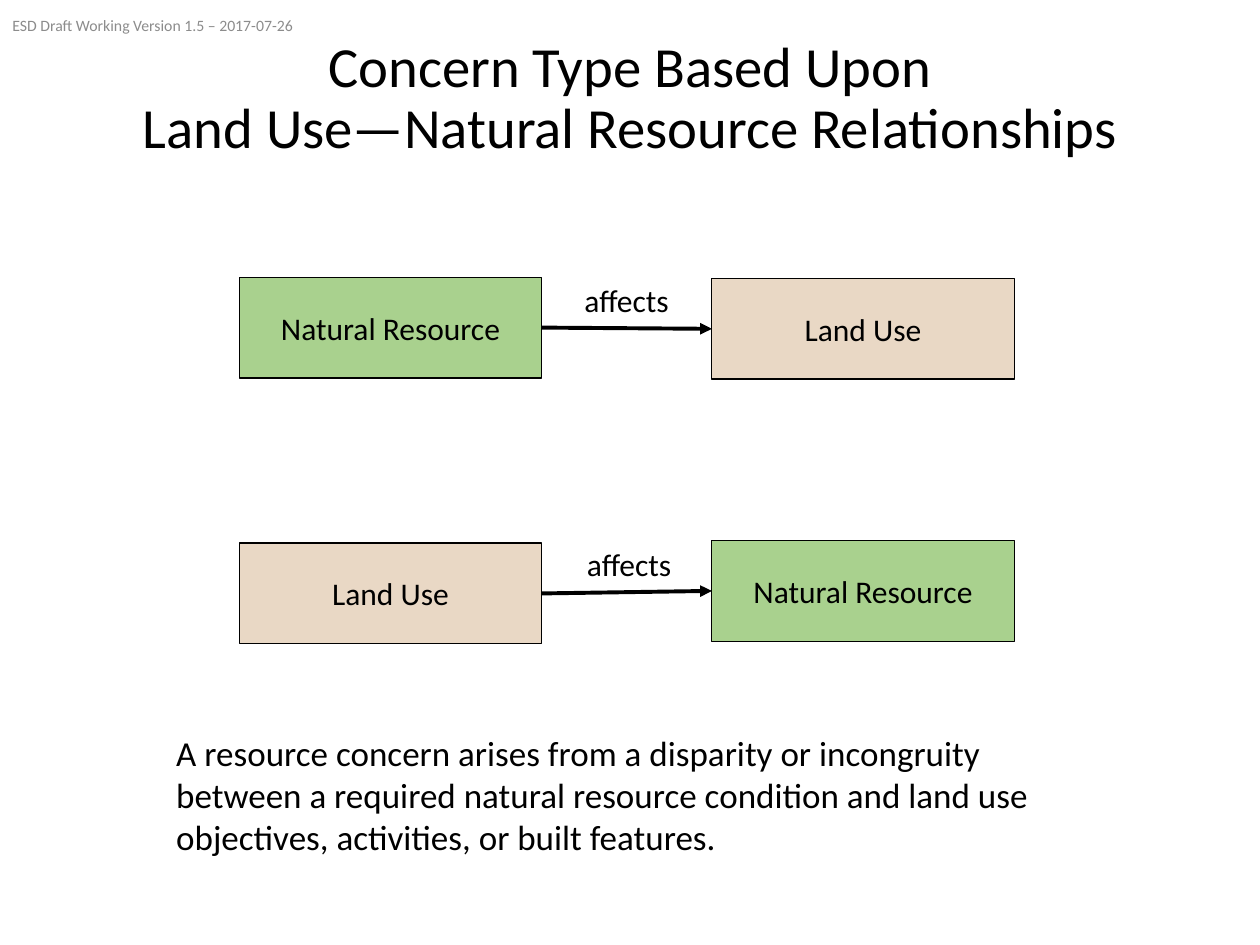
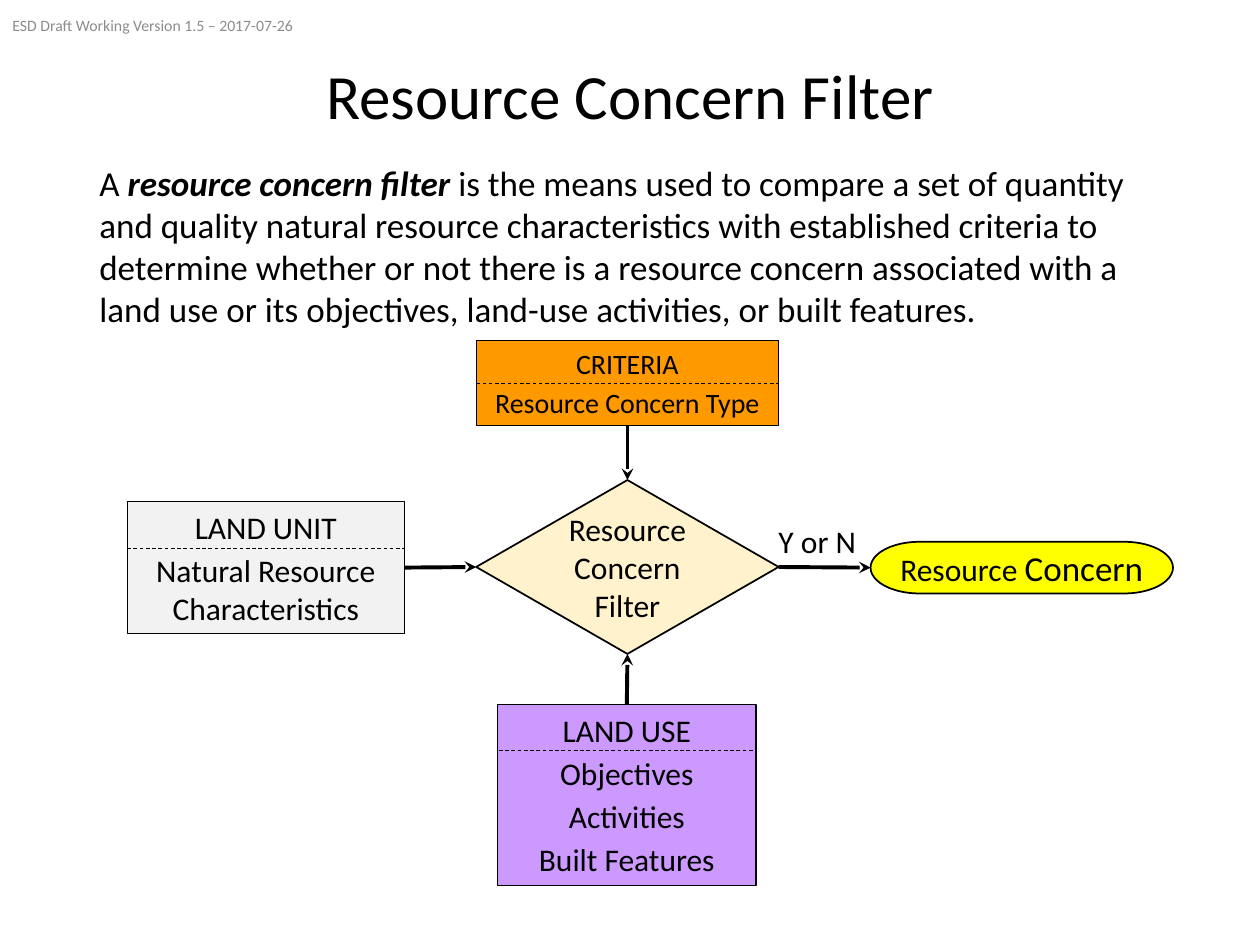
import pptx
import pptx.dml.color
import pptx.enum.dml
import pptx.enum.shapes
import pptx.enum.text
import pptx.oxml.ns
import pptx.util
from dataclasses import dataclass

Inches = pptx.util.Inches
Points = pptx.util.Pt
Shape = pptx.enum.shapes.MSO_SHAPE
Anchor = pptx.enum.text.MSO_ANCHOR
Align = pptx.enum.text.PP_ALIGN
TOP, LEFT, BOTTOM, RIGHT = range(4)


@dataclass(frozen=True)
class Theme:
    font: str = "Calibri"
    ink: str = "000000"
    muted: str = "8C8C8C"
    resource: str = "A9D18E"
    land: str = "E9D8C5"
    unit: str = "F2F2F2"
    decision: str = "FFF2CC"
    criteria: str = "FF9900"
    use: str = "CC99FF"
    result: str = "FFFF00"
    title: float = 36
    long_title: float = 32.4
    body: float = 20
    label: float = 18
    small: float = 16
    stamp: float = 9
    thin: float = 0.5
    outline: float = 0.75
    bold_outline: float = 1
    arrow: float = 2.25


def assign(target, values):
    for name, value in values.items():
        setattr(target, name, value)


def color(value):
    return pptx.dml.color.RGBColor.from_string(value)


def append_element(parent, tag, attributes):
    parent.append(parent.makeelement(pptx.oxml.ns.qn(tag), attributes))


class Builder:
    def __init__(self, theme):
        self.theme = theme
        self.deck = pptx.Presentation()
        assign(self.deck, {"slide_width": Inches(10), "slide_height": Inches(7.5)})
        self.page = None

    def new_page(self, title, size):
        self.page = self.deck.slides.add_slide(self.deck.slide_layouts[6])
        self.text((0.69, 0.4, 8.62, 0.78), [title], size, anchor=Anchor.MIDDLE,
                  alignment=Align.CENTER, line_spacing=0.9)
        self.text((0, 0, 3.38, 0.4), ["ESD Draft Working Version 1.5 – 2017-07-26"],
                  self.theme.stamp, ink=self.theme.muted, anchor=Anchor.MIDDLE)

    def set_text(self, box, paragraphs, size, ink=None, anchor=Anchor.TOP, wrap=True,
                 lead=0, **paragraph_format):
        frame = box.text_frame
        assign(frame, {"word_wrap": wrap, "vertical_anchor": anchor})
        for index, content in enumerate(paragraphs):
            para = frame.add_paragraph() if index else frame.paragraphs[0]
            assign(para, {"space_before": Points(3 if index else lead), **paragraph_format})
            spans = [(content, {})] if isinstance(content, str) else content
            for words, changes in spans:
                for number, line in enumerate(words.split("\n")):
                    if number:
                        para.add_line_break()
                    span = para.add_run()
                    span.text = line
                    assign(span.font, {"name": self.theme.font, "size": Points(size), **changes})
                    span.font.color.rgb = color(ink or self.theme.ink)

    def text(self, place, paragraphs, size, **options):
        box = self.page.shapes.add_textbox(*map(Inches, place))
        self.set_text(box, paragraphs, size, **options)

    def shape(self, kind, place, fill, paragraphs, size=None, outline=None, **options):
        box = self.page.shapes.add_shape(kind, *map(Inches, place))
        box.shadow.inherit = False
        box.fill.solid()
        box.fill.fore_color.rgb = color(fill)
        box.line.color.rgb = color(self.theme.ink)
        box.line.width = Points(outline or self.theme.outline)
        self.set_text(box, paragraphs, size or self.theme.label,
                      alignment=Align.CENTER, **options)
        return box

    def line(self, start, end, width):
        link = self.page.shapes.add_connector(
            pptx.enum.shapes.MSO_CONNECTOR.STRAIGHT, *map(Inches, (*start, *end)))
        link.line.color.rgb = color(self.theme.ink)
        link.line.width = Points(width)
        append_element(link.element.spPr, "a:effectLst", {})
        return link

    def divider(self, left, top, width):
        link = self.line((left, top), (left + width, top), self.theme.thin)
        link.line.dash_style = pptx.enum.dml.MSO_LINE.DASH

    def arrow(self, source, source_side, target, target_side, head):
        link = self.line((0, 0), (1, 1), self.theme.arrow)
        link.begin_connect(source, source_side)
        link.end_connect(target, target_side)
        append_element(link.get_or_add_ln(), "a:tailEnd", {"type": head})


def relationship_page(builder):
    theme = builder.theme
    builder.new_page("Concern Type Based Upon\nLand Use—Natural Resource Relationships",
                     theme.long_title)
    resource = ("Natural Resource", theme.resource)
    land = ("Land Use", theme.land)
    rows = [(resource, 2.2, land, 2.21, (4.54, 2.18)),
            (land, 4.31, resource, 4.29, (4.56, 4.28))]
    for cause, cause_top, effect, effect_top, label_place in rows:
        source, target = [
            builder.shape(Shape.RECTANGLE, (left, top, 2.4, 0.8), fill, [name],
                          anchor=Anchor.MIDDLE, lead=3)
            for (name, fill), left, top in ((cause, 1.9, cause_top), (effect, 5.65, effect_top))]
        builder.arrow(source, RIGHT, target, LEFT, "triangle")
        builder.text((*label_place, 0.88, 0.4), ["affects"], theme.label, wrap=False)
    builder.text((1.3, 5.76, 7.32, 1.11), [
        "A resource concern arises from a disparity or incongruity between a required natural "
        "resource condition and land use objectives, activities, or built features."], theme.body)


def filter_page(builder):
    theme = builder.theme
    builder.new_page("Resource Concern Filter", theme.title)
    builder.text((0.69, 1.23, 8.5, 1.45), [[
        ("A ", {}),
        ("resource concern filter", {"bold": True, "italic": True}),
        (" is the means used to compare a set of quantity and quality natural resource "
         "characteristics with established criteria to determine whether or not there is a "
         "resource concern associated with a land use or its objectives, land-use activities, "
         "or built features.", {})]], theme.body)

    unit = builder.shape(Shape.RECTANGLE, (1.01, 3.98, 2.2, 1.05), theme.unit,
                         ["LAND UNIT", "Natural Resource Characteristics"])
    decision = builder.shape(Shape.FLOWCHART_DECISION, (3.78, 3.81, 2.4, 1.38), theme.decision,
                             ["Resource Concern Filter"], outline=theme.bold_outline,
                             anchor=Anchor.MIDDLE)
    criteria = builder.shape(Shape.RECTANGLE, (3.78, 2.7, 2.4, 0.68), theme.criteria,
                             ["CRITERIA", "Resource Concern Type"], theme.small, lead=3)
    use = builder.shape(Shape.RECTANGLE, (3.95, 5.59, 2.05, 1.44), theme.use,
                        ["LAND USE", "Objectives", "Activities", "Built Features"])
    result = builder.shape(Shape.FLOWCHART_TERMINATOR, (6.91, 4.3, 2.4, 0.41), theme.result,
                           [[("Resource ", {}), ("Concern", {"size": Points(theme.body)})]],
                           outline=theme.bold_outline, anchor=Anchor.MIDDLE)

    for divider in ((1.01, 4.35, 2.2), (3.96, 5.96, 2.05), (3.78, 3.04, 2.4)):
        builder.divider(*divider)
    for source, source_side, target, target_side in (
            (unit, RIGHT, decision, LEFT),
            (criteria, BOTTOM, decision, TOP),
            (use, TOP, decision, BOTTOM),
            (decision, RIGHT, result, LEFT)):
        builder.arrow(source, source_side, target, target_side, "stealth")
    builder.text((6.08, 4.09, 0.82, 0.4), ["Y or N"], theme.label, wrap=False)


def main():
    builder = Builder(Theme())
    relationship_page(builder)
    filter_page(builder)
    builder.deck.save("out.pptx")


if __name__ == "__main__":
    main()
